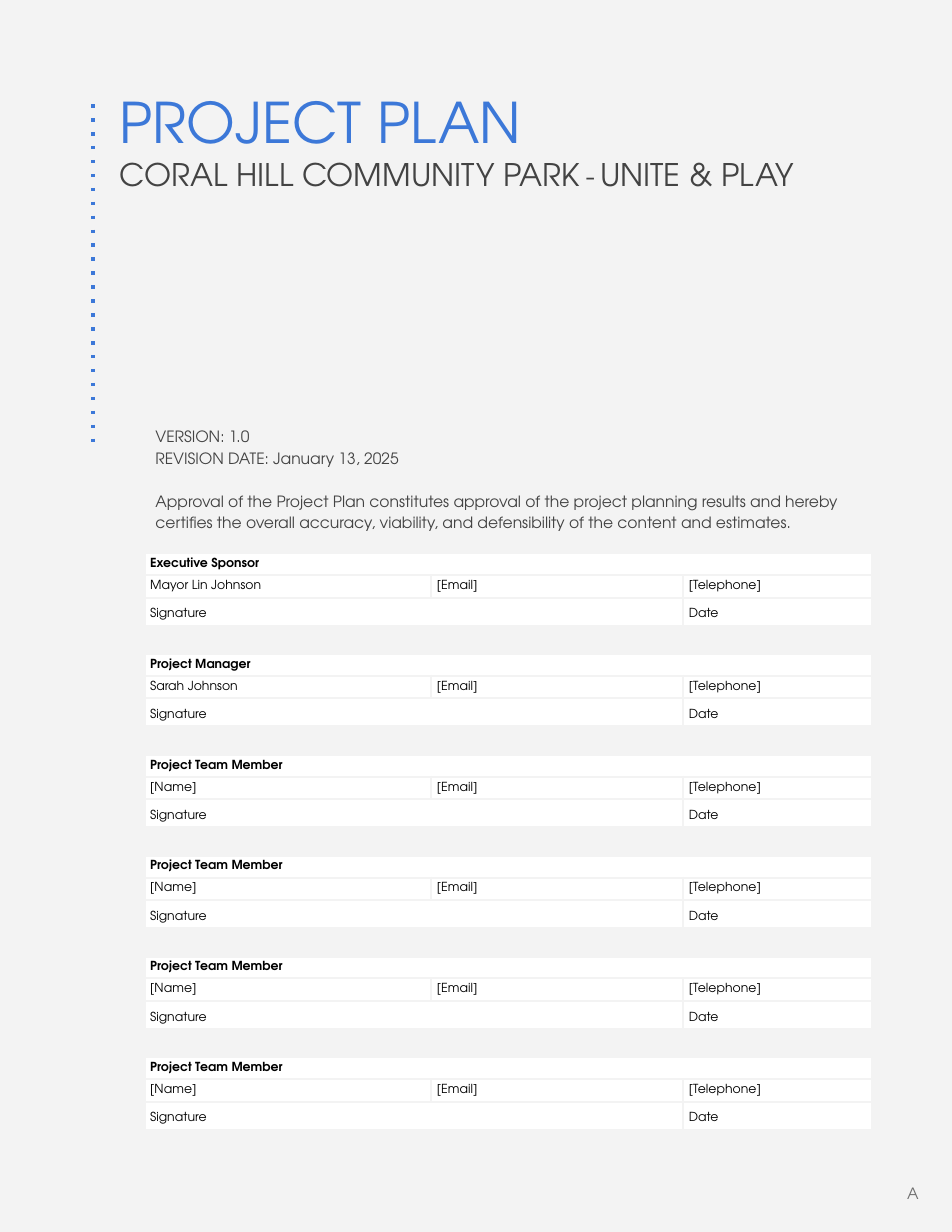
from lxml import etree
from pptx import Presentation
from pptx.dml.color import RGBColor
from pptx.enum.shapes import MSO_CONNECTOR
from pptx.enum.text import MSO_ANCHOR, PP_ALIGN
from pptx.oxml.ns import qn
from pptx.util import Inches, Pt

STRAIGHT = MSO_CONNECTOR.STRAIGHT
TOP, BOTTOM = MSO_ANCHOR.TOP, MSO_ANCHOR.BOTTOM
LEFT, RIGHT = PP_ALIGN.LEFT, PP_ALIGN.RIGHT

# Content
TITLE = "PROJECT PLAN"
SUBTITLE_RUNS = [("CORAL HILL COMMUNITY PARK", 20), (" ", 12), ("-", 18),
                 (" ", 12), ("UNITE & PLAY", 20)]
VERSION = "VERSION: 1.0"
REVISION = "REVISION DATE: January 13, 2025"
APPROVAL = ("Approval of the Project Plan constitutes approval of the project planning "
            "results and hereby certifies the overall accuracy, viability, and "
            "defensibility of the content and estimates.")
SIGNERS = [("Executive Sponsor", "Mayor Lin Johnson"),
           ("Project Manager", "Sarah Johnson")]
SIGNERS += [("Project Team Member", "[Name]")] * 4
PAGE_MARK = "A"


class Theme:
    font = "TeX Gyre Adventor"
    background = "F3F3F3"
    accent = "3C78D8"
    body = "434343"
    cell_text = "000000"
    cell_fill = "FFFFFF"
    muted = "6F6F6F"
    title_size, body_size, cell_size = 36, 10, 8


# Layout in inches
TABLE_LEFT, TABLE_TOP, TABLE_PITCH = 1.29, 4.94, 0.9
COLUMN_WIDTHS = [2.56, 2.25, 1.69]
ROW_HEIGHTS = [0.19, 0.2, 0.25]


def add_text(paragraph, text, size=Theme.body_size, color=Theme.body, bold=False,
             line_spacing=1.0, space_after=0, align=LEFT):
    run = paragraph.add_run()
    run.text = text
    run.font.name = Theme.font
    run.font.size = Pt(size)
    run.font.bold = bold
    run.font.color.rgb = RGBColor.from_string(color)
    paragraph.line_spacing = line_spacing
    paragraph.space_after = Pt(space_after)
    paragraph.alignment = align


def add_text_frame(slide, left, top, width, height):
    box = slide.shapes.add_textbox(Inches(left), Inches(top), Inches(width), Inches(height))
    frame = box.text_frame
    frame.word_wrap = True
    frame.vertical_anchor = TOP
    frame.margin_left = frame.margin_right = Inches(0.1)
    frame.margin_top = frame.margin_bottom = Inches(0.1)
    return frame


def style_cell(cell):
    cell.margin_left = cell.margin_right = Inches(0.05)
    cell.margin_top = cell.margin_bottom = Inches(0.05)
    properties = cell._tc.get_or_add_tcPr()
    for side in ("a:lnL", "a:lnR", "a:lnT", "a:lnB"):
        border = etree.SubElement(properties, qn(side), w=str(Pt(1.5)))
        fill = etree.SubElement(border, qn("a:solidFill"))
        etree.SubElement(fill, qn("a:srgbClr"), val=Theme.background)
    cell.fill.solid()
    cell.fill.fore_color.rgb = RGBColor.from_string(Theme.cell_fill)


def add_signature_table(slide, top, role, name):
    table = slide.shapes.add_table(
        len(ROW_HEIGHTS), len(COLUMN_WIDTHS), Inches(TABLE_LEFT), Inches(top),
        Inches(sum(COLUMN_WIDTHS)), Inches(sum(ROW_HEIGHTS))).table
    table.first_row = table.horz_banding = False
    for column, width in zip(table.columns, COLUMN_WIDTHS):
        column.width = Inches(width)
    for row, height in zip(table.rows, ROW_HEIGHTS):
        row.height = Inches(height)
    for cell in table.iter_cells():
        style_cell(cell)
    table.cell(0, 0).merge(table.cell(0, 2))
    table.cell(2, 0).merge(table.cell(2, 1))

    entries = {(0, 0): role, (1, 0): name, (1, 1): "[Email]", (1, 2): "[Telephone]",
               (2, 0): "Signature", (2, 2): "Date"}
    # Covered cells get the small type too, so they do not stretch their rows
    for row in range(len(ROW_HEIGHTS)):
        for column in range(len(COLUMN_WIDTHS)):
            cell = table.cell(row, column)
            cell.vertical_anchor = BOTTOM if row == 2 else TOP
            paragraph = cell.text_frame.paragraphs[0]
            if (row, column) in entries:
                add_text(paragraph, entries[row, column], size=Theme.cell_size,
                         color=Theme.cell_text, bold=row == 0, line_spacing=0.92)
            else:
                paragraph.font.size = Pt(Theme.cell_size)


def add_dotted_line(slide, x, top, bottom):
    connector = slide.shapes.add_connector(
        STRAIGHT, Inches(x), Inches(top), Inches(x), Inches(bottom))
    connector.line.color.rgb = RGBColor.from_string(Theme.accent)
    connector.line.width = Pt(2.25)
    properties = connector._element.spPr
    etree.SubElement(properties.find(qn("a:ln")), qn("a:prstDash"), val="dot")
    etree.SubElement(properties, qn("a:effectLst"))


def main():
    presentation = Presentation()
    presentation.slide_width, presentation.slide_height = Inches(8.5), Inches(11)
    slide = presentation.slides.add_slide(presentation.slide_layouts[6])
    slide.background.fill.solid()
    slide.background.fill.fore_color.rgb = RGBColor.from_string(Theme.background)

    # Signature tables
    for index, (role, name) in enumerate(SIGNERS):
        add_signature_table(slide, TABLE_TOP + index * TABLE_PITCH, role, name)

    # Title and project name
    heading = add_text_frame(slide, 0.97, 0.75, 6.53, 1.55)
    add_text(heading.paragraphs[0], TITLE, size=Theme.title_size, color=Theme.accent,
             line_spacing=0.9)
    subtitle = heading.add_paragraph()
    for text, size in SUBTITLE_RUNS:
        add_text(subtitle, text, size=size)

    add_dotted_line(slide, 0.83, 0.93, 4.02)

    # Version and approval statement
    details = add_text_frame(slide, 1.29, 3.69, 6.33, 0.98)
    add_text(details.paragraphs[0], VERSION, line_spacing=1.15)
    add_text(details.add_paragraph(), REVISION, line_spacing=1.15, space_after=13.8)
    add_text(details.add_paragraph(), APPROVAL, line_spacing=1.15)

    # Page mark
    page = add_text_frame(slide, 7.79, 10.49, 0.51, 0.84)
    add_text(page.paragraphs[0], PAGE_MARK, color=Theme.muted, align=RIGHT)

    presentation.save("out.pptx")


if __name__ == "__main__":
    main()
